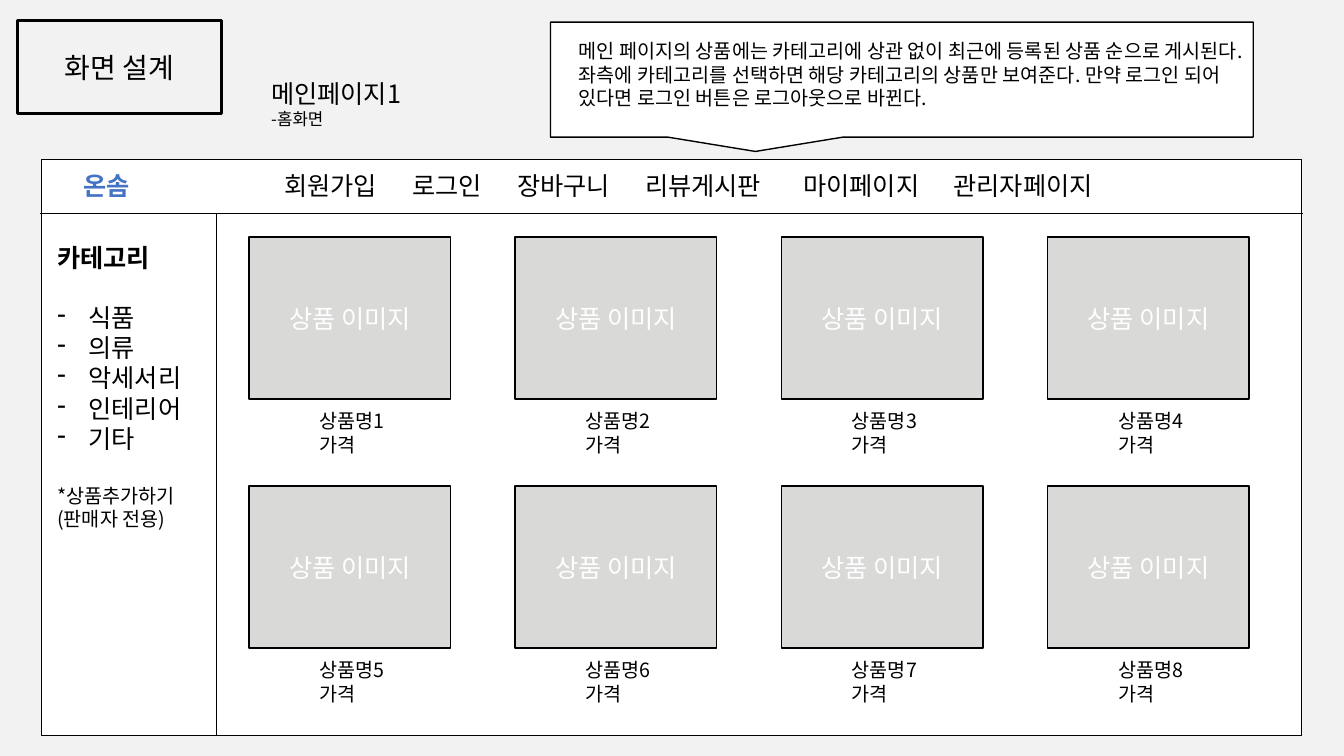
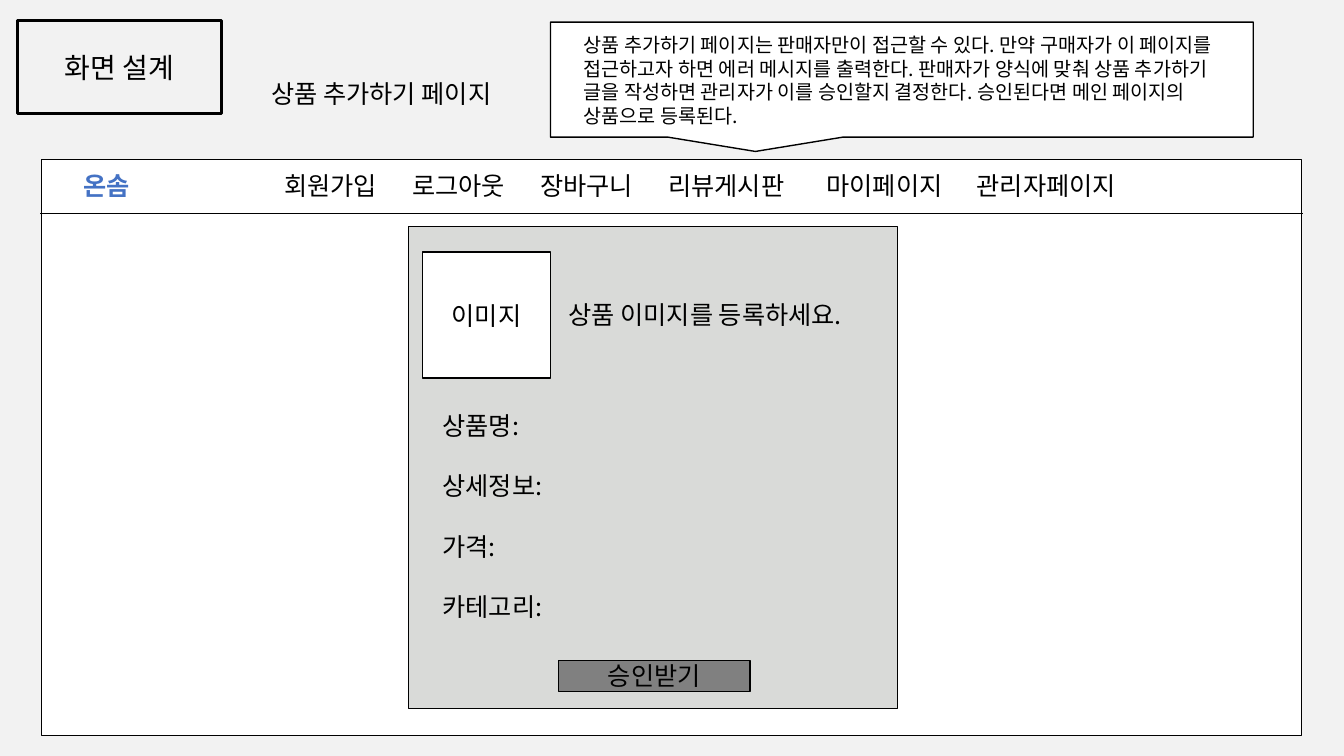
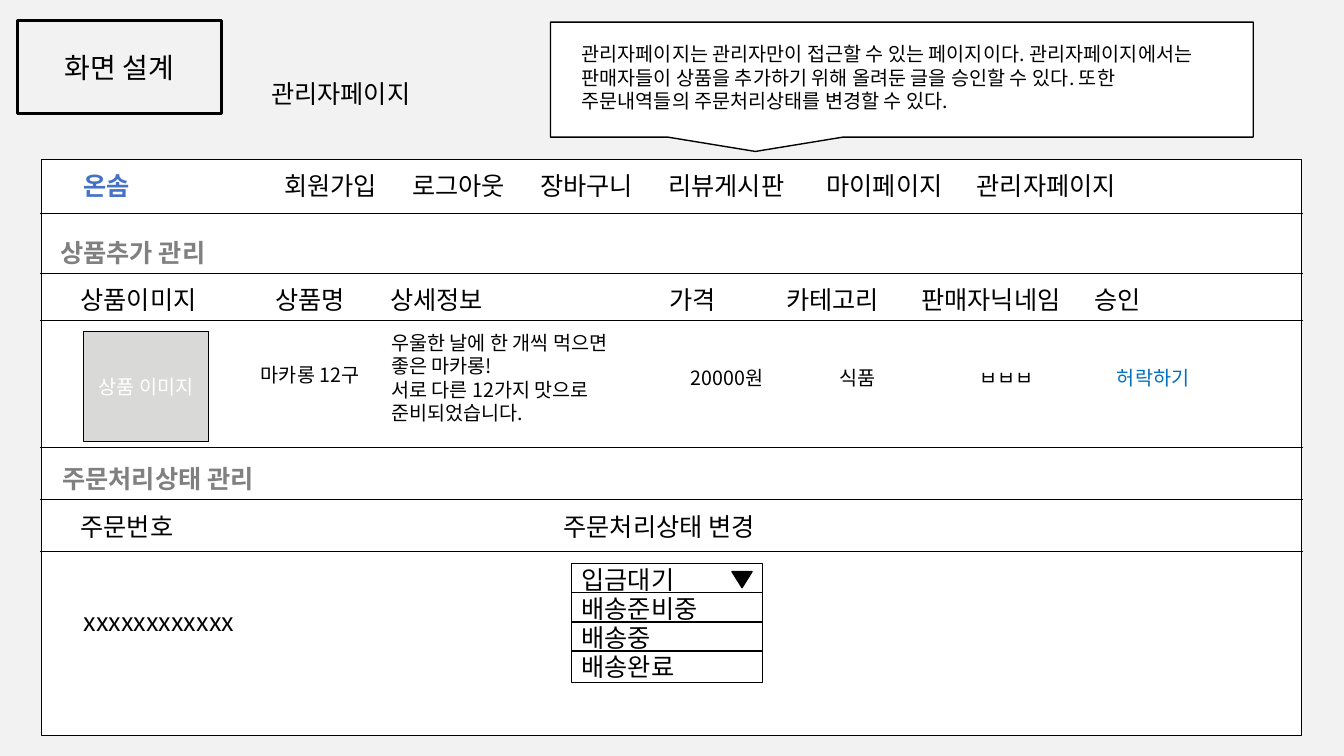
from lxml import etree
from pptx import Presentation
from pptx.dml.color import RGBColor
from pptx.enum.shapes import MSO_CONNECTOR, MSO_SHAPE
from pptx.enum.text import MSO_ANCHOR, PP_ALIGN
from pptx.oxml.ns import qn
from pptx.util import Inches, Pt

RECTANGLE = MSO_SHAPE.RECTANGLE
CALLOUT = MSO_SHAPE.RECTANGULAR_CALLOUT
TRIANGLE = MSO_SHAPE.FLOWCHART_MERGE
STRAIGHT = MSO_CONNECTOR.STRAIGHT
TOP, MIDDLE = MSO_ANCHOR.TOP, MSO_ANCHOR.MIDDLE
LEFT, CENTER = PP_ALIGN.LEFT, PP_ALIGN.CENTER

FONT = "Noto Sans CJK KR"
COLORS = {
    "page": "F2F2F2",
    "white": "FFFFFF",
    "black": "000000",
    "image": "D9DAD8",
    "gray": "808080",
    "brand": "4472C4",
    "link": "0070C0",
}
TITLE_ONLY = 5
INSETS = (0.1, 0.05, 0.1, 0.05)
FRAME_LEFT, FRAME_RIGHT = 0.4, 12.92
FRAME_TOP, FRAME_BOTTOM = 1.58, 7.3
MENU_BOTTOM = 2.12
LINE_GAP = 21.6


def color(name):
    return RGBColor.from_string(COLORS[name])


def add_text(paragraph, text, size=18, color_name="black", bold=False):
    run = paragraph.add_run()
    run.text = text
    font = run.font
    font.name, font.size, font.bold = FONT, Pt(size), bold
    font.color.rgb = color(color_name)
    etree.SubElement(run._r.get_or_add_rPr(), qn("a:ea"), typeface=FONT)


class Wireframe:
    """Draws the screens of a shop in one shared style."""

    def __init__(self):
        self.presentation = Presentation()
        self.presentation.slide_width = Inches(13.33)
        self.presentation.slide_height = Inches(7.5)
        fill = self.presentation.slide_master.background.fill
        fill.solid()
        fill.fore_color.rgb = color("page")
        self.slide = None

    def screen(self, title, session, note, note_insets):
        layout = self.presentation.slide_layouts[TITLE_ONLY]
        self.slide = self.presentation.slides.add_slide(layout)
        placeholder = self.slide.shapes.title
        placeholder.left, placeholder.top = Inches(2.59), Inches(0.73)
        placeholder.width, placeholder.height = Inches(2.8), Inches(0.61)
        self.fill_text(placeholder.text_frame, title)
        self.box(0.17, 0.2, 2.03, 0.93, ["화면 설계"], fill=None, weight=2, size=20)
        self.box(FRAME_LEFT + 0.01, FRAME_TOP, 12.5, FRAME_BOTTOM - FRAME_TOP)
        self.box(5.46, 0.22, 6.97, 1.14, [note], kind=CALLOUT, size=14,
                 align=LEFT, anchor=TOP, insets=note_insets)
        self.line(FRAME_LEFT, MENU_BOTTOM, FRAME_RIGHT, MENU_BOTTOM)
        shift = 0.23 if session == "로그아웃" else 0
        self.row(1.64, [
            (0.83, "온솜", {"color_name": "brand", "bold": True}),
            (2.82, "회원가입"),
            (4.09, session),
            (5.13 + shift, "장바구니"),
            (6.4 + shift, "리뷰게시판"),
            (7.97 + shift, "마이페이지"),
            (9.46 + shift, "관리자페이지"),
        ])

    def fill_text(self, frame, lines, align=LEFT, anchor=TOP, insets=INSETS, **style):
        frame.word_wrap = True
        frame.vertical_anchor = anchor
        frame.margin_left, frame.margin_top, frame.margin_right, frame.margin_bottom = map(
            Inches, insets)
        for index, line in enumerate(lines):
            text, extra = (line, {}) if isinstance(line, str) else line
            options = {**style, **extra}
            gap, bullet = options.pop("gap", 0), options.pop("bullet", False)
            paragraph = frame.add_paragraph() if index else frame.paragraphs[0]
            paragraph.alignment = align
            paragraph.space_before = Pt(gap)
            if bullet:
                properties = paragraph._p.get_or_add_pPr()
                properties.set("marL", str(Inches(0.31)))
                properties.set("indent", str(-Inches(0.31)))
                etree.SubElement(properties, qn("a:buChar"), char="-")
            add_text(paragraph, text, **options)

    def text(self, left, top, width, height, lines, **style):
        shape = self.slide.shapes.add_textbox(
            Inches(left), Inches(top), Inches(width), Inches(height))
        self.fill_text(shape.text_frame, lines, **style)

    def row(self, top, cells, size=18):
        start = cells[0][0]
        shape = self.slide.shapes.add_textbox(
            Inches(start - 0.1), Inches(top), Inches(12.8 - start), Inches(0.4))
        shape.text_frame.word_wrap = True
        paragraph = shape.text_frame.paragraphs[0]
        tabs = etree.SubElement(paragraph._p.get_or_add_pPr(), qn("a:tabLst"))
        for index, (left, text, *style) in enumerate(cells):
            if index:
                etree.SubElement(tabs, qn("a:tab"), pos=str(Inches(left - start)), algn="l")
                text = "\t" + text
            add_text(paragraph, text, size=size, **(style[0] if style else {}))

    def box(self, left, top, width, height, lines=(), kind=RECTANGLE, fill="white",
            weight=1, align=CENTER, anchor=MIDDLE, **style):
        shape = self.slide.shapes.add_shape(
            kind, Inches(left), Inches(top), Inches(width), Inches(height))
        shape.shadow.inherit = False
        if fill:
            shape.fill.solid()
            shape.fill.fore_color.rgb = color(fill)
        else:
            shape.fill.background()
        shape.line.color.rgb = color("black")
        shape.line.width = Pt(weight)
        self.fill_text(shape.text_frame, lines, align=align, anchor=anchor, **style)

    def line(self, left, top, right, bottom):
        connector = self.slide.shapes.add_connector(
            STRAIGHT, Inches(left), Inches(top), Inches(right), Inches(bottom))
        connector.line.color.rgb = color("black")
        connector.line.width = Pt(0.5)
        etree.SubElement(connector._element.spPr, qn("a:effectLst"))

    def product_image(self, left, top, width=2, height=1.61, size=18):
        self.box(left, top, width, height, ["상품 이미지"], fill="image",
                 color_name="white", size=size)


def main_page(wireframe):
    wireframe.screen(
        ["메인페이지1", ("-홈화면", {"size": 12})], "로그인",
        "메인 페이지의 상품에는 카테고리에 상관 없이 최근에 등록된 상품 순으로 게시된다. "
        "좌측에 카테고리를 선택하면 해당 카테고리의 상품만 보여준다. "
        "만약 로그인 되어 있다면 로그인 버튼은 로그아웃으로 바뀐다.",
        (0.28, 0.17, 0.1, 0.05))
    wireframe.line(2.15, MENU_BOTTOM, 2.15, FRAME_BOTTOM)
    categories = ["식품", "의류", "악세서리", "인테리어", "기타"]
    wireframe.text(0.47, 2.35, 1.65, 3.3, [
        ("카테고리", {"bold": True}),
        *[(name, {"bullet": True, "gap": 0 if index else LINE_GAP})
          for index, name in enumerate(categories)],
        ("*상품추가하기", {"size": 14, "gap": LINE_GAP}),
        ("(판매자 전용)", {"size": 14}),
    ])
    for index in range(8):
        row, column = divmod(index, 4)
        left, top = 2.47 + 2.64 * column, 2.35 + 2.47 * row
        wireframe.product_image(left, top)
        wireframe.text(left + 0.6, top + 1.66, 1.92, 0.57,
                       [f"상품명{index + 1}", "가격"], size=14)


def product_form(wireframe):
    wireframe.screen(
        ["상품 추가하기 페이지"], "로그아웃",
        "상품 추가하기 페이지는 판매자만이 접근할 수 있다. "
        "만약 구매자가 이 페이지를 접근하고자 하면 에러 메시지를 출력한다. "
        "판매자가 양식에 맞춰 상품 추가하기 글을 작성하면 관리자가 이를 승인할지 결정한다. "
        "승인된다면 메인 페이지의 상품으로 등록된다.",
        (0.33, 0.11, 0.18, 0.05))
    wireframe.box(4.05, 2.25, 4.85, 4.78, fill="image")
    wireframe.box(4.19, 2.5, 1.27, 1.25, ["이미지"])
    wireframe.text(5.54, 2.92, 3.4, 0.4, ["상품 이미지를 등록하세요."])
    fields = ["상품명:", "상세정보:", "가격:", "카테고리:"]
    wireframe.text(4.29, 4.02, 4.23, 2.22, [
        (field, {"gap": LINE_GAP if index else 0}) for index, field in enumerate(fields)])
    wireframe.box(5.54, 6.55, 1.9, 0.31, ["승인받기"], fill="gray")


def admin_page(wireframe):
    wireframe.screen(
        ["관리자페이지"], "로그아웃",
        "관리자페이지는 관리자만이 접근할 수 있는 페이지이다. "
        "관리자페이지에서는 판매자들이 상품을 추가하기 위해 올려둔 글을 승인할 수 있다. "
        "또한 주문내역들의 주문처리상태를 변경할 수 있다.",
        (0.31, 0.2, 0.39, 0.05))
    for top in (2.71, 3.18, 4.44, 4.95, 5.47):
        wireframe.line(FRAME_LEFT, top, FRAME_RIGHT, top)
    for left, top, heading in ((0.5, 2.31, "상품추가 관리"), (0.52, 4.55, "주문처리상태 관리")):
        wireframe.text(left, top, 2.61, 0.4, [heading], color_name="gray", bold=True)
    wireframe.row(2.77, [
        (0.8, "상품이미지"), (2.73, "상품명"), (3.87, "상세정보"), (6.64, "가격"),
        (7.8, "카테고리"), (9.14, "판매자닉네임"), (10.86, "승인"),
    ])
    wireframe.product_image(0.83, 3.29, 1.24, 1.09, size=14)
    wireframe.text(2.49, 3.55, 1.36, 0.34, ["마카롱 12구"], size=14)
    wireframe.text(3.78, 3.23, 2.68, 1.35, [
        "우울한 날에 한 개씩 먹으면 좋은 마카롱!",
        "서로 다른 12가지 맛으로 준비되었습니다.",
    ], size=14)
    wireframe.row(3.58, [
        (6.85, "20000원"), (8.33, "식품"), (9.72, "ㅂㅂㅂ"),
        (11.08, "허락하기", {"color_name": "link"}),
    ], size=14)
    wireframe.row(5.02, [(0.8, "주문번호"), (5.59, "주문처리상태 변경")])
    wireframe.text(0.73, 5.97, 2.63, 0.4, ["xxxxxxxxxxxx"])
    for index, status in enumerate(["입금대기", "배송준비중", "배송중", "배송완료"]):
        wireframe.box(5.67, 5.59 + 0.29 * index, 1.89, 0.31, [status], align=LEFT)
    wireframe.box(7.26, 5.67, 0.2, 0.16, kind=TRIANGLE, fill="black")


wireframe = Wireframe()
main_page(wireframe)
product_form(wireframe)
admin_page(wireframe)
wireframe.presentation.save("out.pptx")
